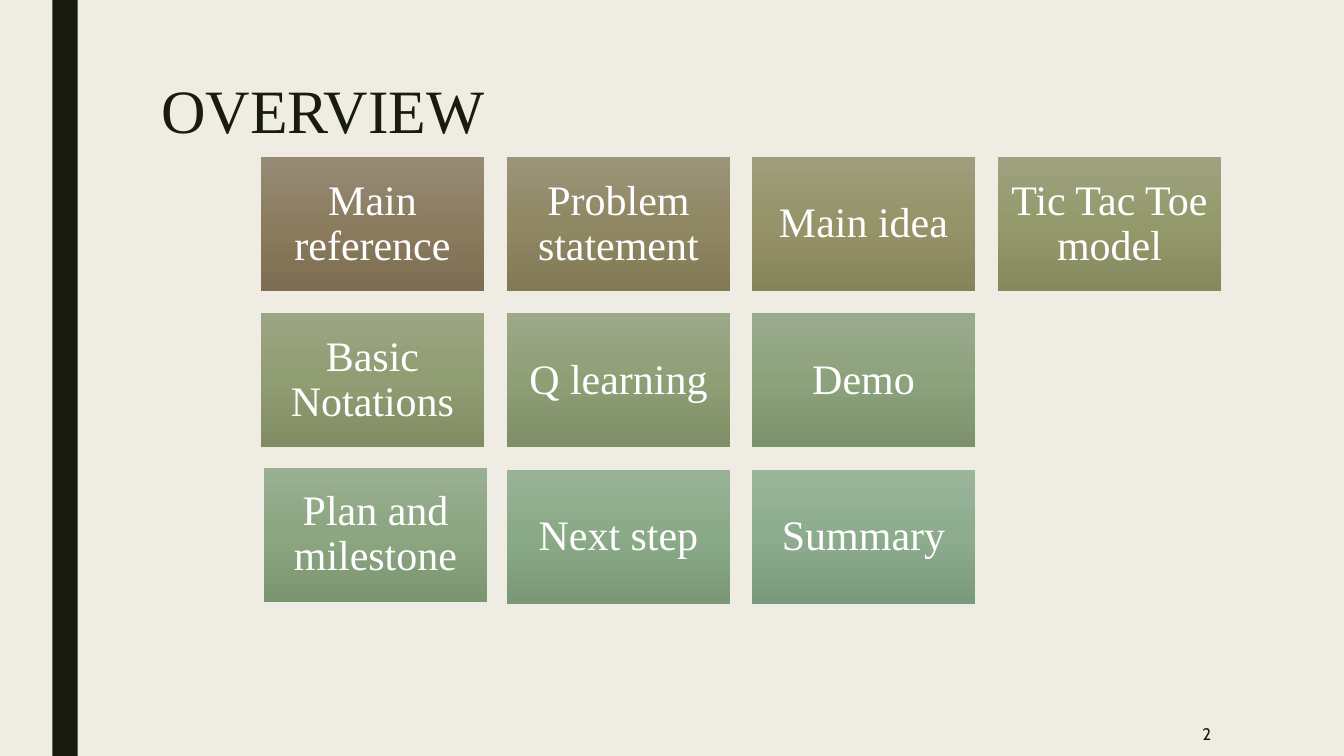
from copy import deepcopy

from pptx import Presentation
from pptx import util as u
from pptx.dml.color import RGBColor
from pptx.enum import shapes, text
from pptx.oxml.ns import qn

PX = 9144  # EMU per px, 100 px to the inch

COLORS = {"paper": "EFEDE3", "ink": "191B0E", "white": "FFFFFF"}

# Topic, gradient from top to bottom
ROWS = [
    [("Main reference", ("978B76", "8B7C5F", "7D6E53")),
     ("Problem statement", ("9B9479", "908763", "827956")),
     ("Main idea", ("9F9D7C", "959367", "868459")),
     ("Tic Tac Toe model", ("9EA280", "94996B", "85895E"))],
    [("Basic Notations", ("9CA584", "909C71", "818C62")),
     ("Q learning", ("9BA889", "8E9F76", "7E8F67")),
     ("Demo", ("9AAB8D", "8CA27C", "7C926C"))],
    [("Plan and milestone", ("99AF92", "8BA681", "7B9571")),
     ("Next step", ("99B296", "8AA986", "7A9875")),
     ("Summary", ("9BB59B", "8CAC8D", "7A9B7B"))],
]
LEFT, TOP, TILE_W, TILE_H = 259, 156, 221, 133
COL_STEP, ROW_STEP = 243.67, 155
NUDGES = {"Plan and milestone": (3, -2)}


class Deck:
    def __init__(self, width, height):
        self.prs = Presentation()
        self.prs.slide_width = u.Emu(width * PX)
        self.prs.slide_height = u.Emu(height * PX)
        self.serif = "Times New Roman"
        self.sans = "Cabin"

    def add_slide(self, background):
        self.s = self.prs.slides.add_slide(self.prs.slide_layouts[6])
        fill = self.s.background.fill
        fill.solid()
        fill.fore_color.rgb = self.rgb(background)

    def rgb(self, name):
        return RGBColor.from_string(COLORS.get(name, name))

    def rect(self, *box):
        sp = self.s.shapes.add_shape(
            shapes.MSO_SHAPE.RECTANGLE, *(u.Emu(v * PX) for v in box))
        sp.shadow.inherit = False
        sp.line.fill.background()
        return sp

    def bar(self, *box, color):
        sp = self.rect(*box)
        sp.fill.solid()
        sp.fill.fore_color.rgb = self.rgb(color)

    def gradient(self, sp, colors):
        sp.fill.gradient()
        sp.fill.gradient_angle = 270
        stops = sp._element.spPr.find(qn("a:gradFill")).find(qn("a:gsLst"))
        stops.append(deepcopy(stops[-1]))
        for i, (stop, color) in enumerate(zip(sp.fill.gradient_stops, colors)):
            stop.position = i / (len(colors) - 1)
            stop.color.rgb = self.rgb(color)

    def set_text(self, sp, words, size, font, color, align, anchor,
                 spacing=1.0):
        tf = sp.text_frame
        tf.word_wrap = True
        tf.vertical_anchor = anchor
        p = tf.paragraphs[0]
        p.text = words
        p.alignment = align
        p.line_spacing = spacing
        p.font.size = u.Pt(size)
        p.font.name = font
        p.font.color.rgb = self.rgb(color)
        return tf

    def label(self, *box, **style):
        sp = self.s.shapes.add_textbox(*(u.Emu(v * PX) for v in box))
        self.set_text(sp, **style)

    def tile(self, *box, words, colors):
        sp = self.rect(*box)
        self.gradient(sp, colors)
        tf = self.set_text(sp, words, 30, self.serif, "white",
                           text.PP_ALIGN.CENTER, text.MSO_ANCHOR.MIDDLE, 0.9)
        tf.margin_left = tf.margin_right = u.Emu(12 * PX)
        tf.margin_top = tf.margin_bottom = u.Emu(12 * PX)


def main():
    deck = Deck(1333, 750)
    deck.add_slide("paper")

    # Side bar and title
    deck.bar(52, 0, 25, 750, color="ink")
    deck.label(150, 75, 1050, 162, words="OVERVIEW", size=44, font=deck.serif,
               color="ink", align=text.PP_ALIGN.LEFT,
               anchor=text.MSO_ANCHOR.TOP, spacing=0.89)

    # Topic grid
    for row, topics in enumerate(ROWS):
        for col, (words, colors) in enumerate(topics):
            dx, dy = NUDGES.get(words, (0, 0))
            deck.tile(round(LEFT + col * COL_STEP) + dx,
                      TOP + row * ROW_STEP + dy, TILE_W, TILE_H,
                      words=words, colors=colors)

    # Slide number
    deck.label(1036, 706, 175, 44, words="2", size=12, font=deck.sans,
               color="ink", align=text.PP_ALIGN.RIGHT,
               anchor=text.MSO_ANCHOR.MIDDLE)

    deck.prs.save("out.pptx")


if __name__ == "__main__":
    main()
